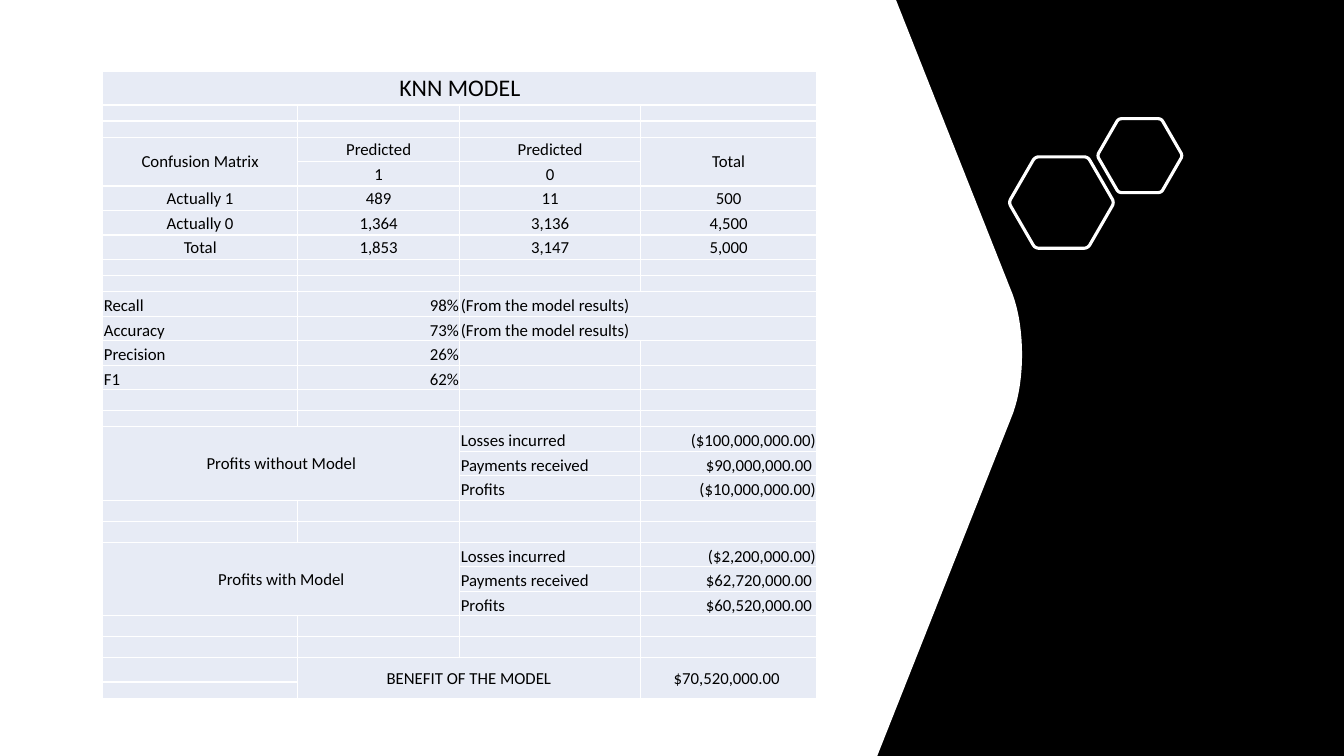
from math import comb, cos, pi, sin
from lxml.etree import SubElement as Sub
from pptx import Presentation
from pptx.dml.color import RGBColor as Rgb
from pptx.enum.shapes import MSO_SHAPE as Kind
from pptx.enum.text import MSO_ANCHOR as Anchor, PP_ALIGN as Align
from pptx.oxml.ns import qn
from pptx.util import Pt

theme = {
    "black": Rgb.from_string("000000"),
    "white": Rgb.from_string("FFFFFF"),
    "cell": Rgb.from_string("E7EBF5"),
    "font": "Calibri",
    "title": Pt(17),
    "body": Pt(12),
    "gap": Pt(8),
}


def curve(knots, steps=16):
    n = len(knots) - 1
    return [
        tuple(
            sum(comb(n, k) * (1 - t) ** (n - k) * t**k * knot[axis] for k, knot in enumerate(knots))
            for axis in (0, 1)
        )
        for t in (i / steps for i in range(steps + 1))
    ]


def outline(shapes, spots):
    spots = [(Pt(x), Pt(y)) for x, y in spots]
    pen = shapes.build_freeform(*spots[0])
    pen.add_line_segments(spots[1:], close=True)
    shape = pen.convert_to_shape()
    shape.shadow.inherit = False
    return shape


deck = Presentation()
deck.slide_width, deck.slide_height = Pt(960), Pt(540)
slide = deck.slides.add_slide(deck.slide_layouts[6])

back = slide.shapes.add_shape(Kind.RECTANGLE, 0, 0, deck.slide_width, deck.slide_height)
back.shadow.inherit = False
bulge = curve([(723.6, 211), (732.2, 235.4), (732.2, 271.4), (723.6, 295.2)])
panel = outline(slide.shapes, [(0, 0), (640, 0), *bulge, (626.6, 540), (0, 540)])
for shape, tone in ((back, "black"), (panel, "white")):
    shape.fill.solid()
    shape.fill.fore_color.rgb = theme[tone]
    shape.line.fill.background()

group = slide.shapes.add_group_shape()
cut = 0.08
for x, y, size in ((758.2, 144.7, 37.7), (814.2, 111.2, 30.5)):
    tips = [(x + size * cos(i * pi / 3), y + size * sin(i * pi / 3)) for i in range(6)]
    spots = []
    for i, tip in enumerate(tips):
        near, far = [
            tuple(a + (b - a) * cut for a, b in zip(tip, other))
            for other in (tips[i - 1], tips[(i + 1) % 6])
        ]
        spots += curve([near, tip, far], 6)
    ring = outline(group.shapes, spots)
    ring.fill.background()
    ring.line.color.rgb = theme["white"]
    ring.line.width = Pt(2.25)

tall = {"title": 24, "gap": 11.5, "wide": 15, "grid": 17.5, "list": 17.5}
wide = [139, 116, 129, 126]
gap, space = ("gap",), ("wide",)
rows = [
    ("title", "KNN MODEL"),
    gap,
    gap,
    ("grid", "Confusion Matrix", "Predicted", "Predicted", "Total"),
    ("grid", "", "1", "0"),
    ("grid", "Actually 1", "489", "11", "500"),
    ("grid", "Actually 0", "1,364", "3,136", "4,500"),
    ("grid", "Total", "1,853", "3,147", "5,000"),
    gap,
    gap,
    ("list", "Recall", "98%", "(From the model results)"),
    ("list", "Accuracy", "73%", "(From the model results)"),
    ("list", "Precision", "26%"),
    ("list", "F1", "62%"),
    space,
    gap,
    ("list", "Profits without Model", "", "Losses incurred", "($100,000,000.00)"),
    ("list", "", "", "Payments received", "$90,000,000.00 "),
    ("list", "", "", "Profits", "($10,000,000.00)"),
    space,
    space,
    ("list", "Profits with Model", "", "Losses incurred", "($2,200,000.00)"),
    ("list", "", "", "Payments received", "$62,720,000.00 "),
    ("list", "", "", "Profits", "$60,520,000.00 "),
    space,
    space,
    ("grid", "", "BENEFIT OF THE MODEL", "", "$70,520,000.00 "),
    gap,
]
spans = {
    (0, 0): (0, 3),
    (3, 0): (4, 0),
    (3, 3): (4, 3),
    (10, 2): (10, 3),
    (11, 2): (11, 3),
    (16, 0): (18, 1),
    (21, 0): (23, 1),
    (26, 1): (27, 2),
    (26, 3): (27, 3),
}
high = sum(tall[row[0]] for row in rows)
frame = slide.shapes.add_table(
    len(rows), len(wide), Pt(73.5), Pt(51), Pt(sum(wide)), Pt(high)
)
table = frame.table
for name, value in {"first_row": False, "horz_banding": False}.items():
    setattr(table, name, value)
for col, width in zip(table.columns, wide):
    col.width = Pt(width)

inset = {
    "margin_left": Pt(0.7),
    "margin_right": Pt(0.7),
    "margin_top": Pt(0.7),
    "margin_bottom": Pt(0),
}
for r, (kind, *texts) in enumerate(rows):
    table.rows[r].height = Pt(tall[kind])
    for c in range(len(wide)):
        cell = table.cell(r, c)
        text = texts[c] if c < len(texts) else ""
        mid = kind != "list" or spans.get((r, c), (r, c))[0] > r
        form = {**inset, "vertical_anchor": Anchor.MIDDLE if mid else Anchor.BOTTOM}
        for name, value in form.items():
            setattr(cell, name, value)
        props = cell._tc.get_or_add_tcPr()
        for side in ("lnL", "lnR", "lnT", "lnB"):
            edge = Sub(props, qn(f"a:{side}"), w=str(Pt(1)))
            fill = Sub(edge, qn("a:solidFill"))
            Sub(fill, qn("a:srgbClr"), val=str(theme["white"]))
        cell.fill.solid()
        cell.fill.fore_color.rgb = theme["cell"]
        para = cell.text_frame.paragraphs[0]
        if not text:
            para._p.get_or_add_endParaRPr().set("sz", str(int(theme["gap"].pt * 100)))
            continue
        para.alignment = Align.CENTER if mid else (Align.LEFT, Align.RIGHT)[c % 2]
        run = para.add_run()
        run.text = text
        size = theme["title" if kind == "title" else "body"]
        for name, value in {"name": theme["font"], "size": size}.items():
            setattr(run.font, name, value)
        run.font.color.rgb = theme["black"]
for start, end in spans.items():
    table.cell(*start).merge(table.cell(*end))

deck.save("out.pptx")
